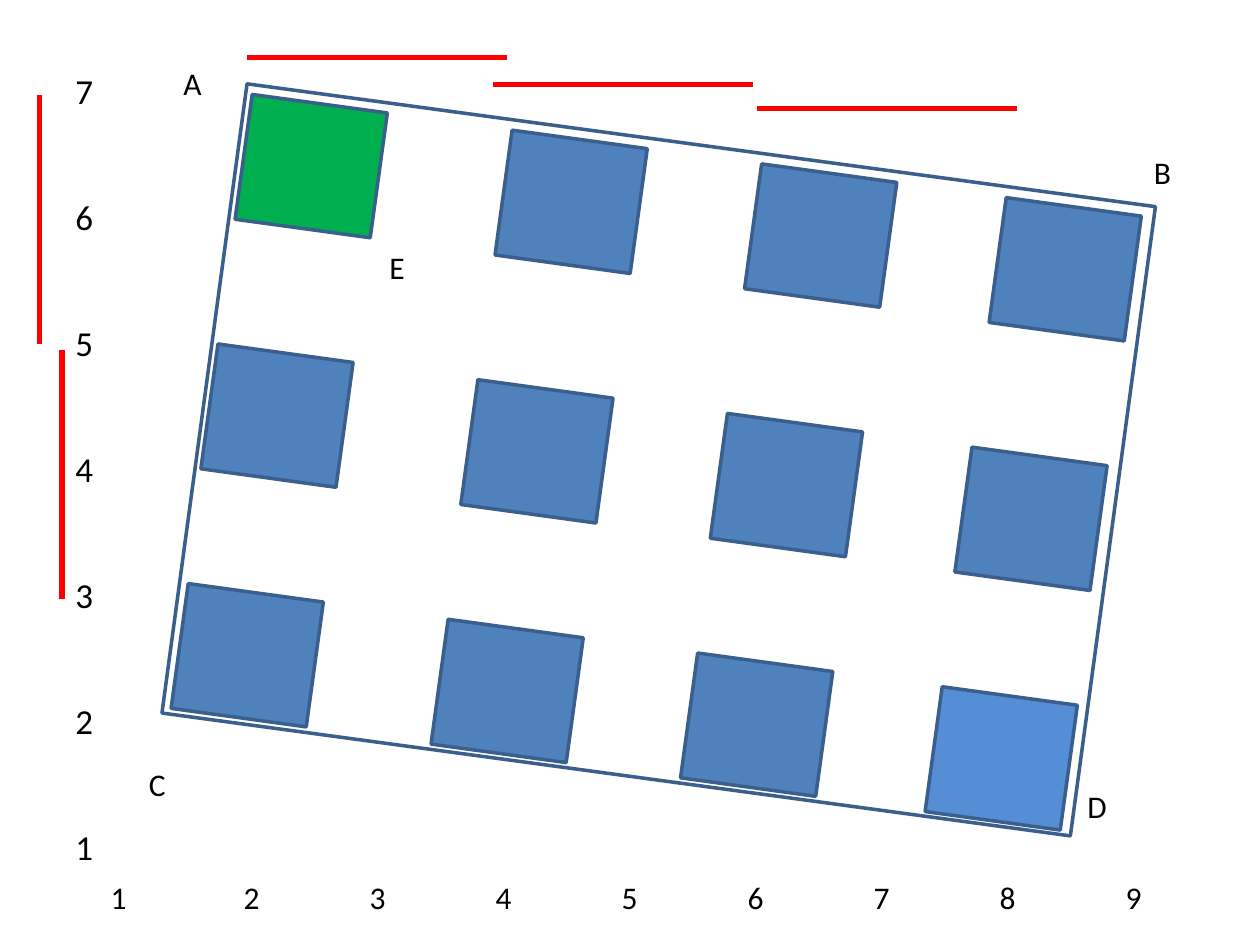
import pptx
import pptx.util
import pptx.dml.color
import pptx.enum.shapes
import pptx.enum.text
import pptx.oxml

Cm, Pt = pptx.util.Cm, pptx.util.Pt

DRAWING = 'xmlns:a="http://schemas.openxmlformats.org/drawingml/2006/main"'
COLORS = {
    "text": "000000",
    "square": "4F81BD",
    "start": "00B050",
    "end": "558ED5",
    "outline": "3A5F8C",
    "marker": "FF0000",
}


class SlideBuilder:
    font = "Calibri"

    def __init__(self, slide):
        self.slide = slide

    def color(self, name):
        return pptx.dml.color.RGBColor.from_string(COLORS[name])

    def text(self, lines, left, top, width, height, size=18, gap=0, tabs=()):
        box = self.slide.shapes.add_textbox(Cm(left), Cm(top), Cm(width), Cm(height))
        frame = box.text_frame
        frame.word_wrap = False
        frame.auto_size = pptx.enum.text.MSO_AUTO_SIZE.SHAPE_TO_FIT_TEXT
        frame.text = "\n".join(lines)
        for paragraph in frame.paragraphs:
            paragraph.space_after = Pt(gap if paragraph.text != lines[-1] else 0)
            if tabs:
                stops = "".join(f'<a:tab pos="{Cm(tab)}" algn="l"/>' for tab in tabs)
                paragraph._p.get_or_add_pPr().append(pptx.oxml.parse_xml(
                    f"<a:tabLst {DRAWING}>{stops}</a:tabLst>"))
            for run in paragraph.runs:
                run.font.name = self.font
                run.font.size = Pt(size)
                run.font.color.rgb = self.color("text")

    def rectangle(self, left, top, width, height, rotation, fill=None, group=None):
        rect = (group or self.slide).shapes.add_shape(
            pptx.enum.shapes.MSO_SHAPE.RECTANGLE,
            Cm(left), Cm(top), Cm(width), Cm(height))
        rect.rotation = rotation
        rect.shadow.inherit = False
        if fill:
            rect.fill.solid()
            rect.fill.fore_color.rgb = self.color(fill)
        else:
            rect.fill.background()
        rect.line.color.rgb = self.color("outline")
        rect.line.width = Pt(2)

    def marker(self, left, top, across=0, down=0):
        line = self.slide.shapes.add_connector(
            pptx.enum.shapes.MSO_CONNECTOR.STRAIGHT,
            Cm(left), Cm(top), Cm(left + across), Cm(top + down))
        line.line.color.rgb = self.color("marker")
        line.line.width = Pt(3)
        line._element.spPr.append(pptx.oxml.parse_xml(f"<a:effectLst {DRAWING}/>"))


def main():
    deck = pptx.Presentation()
    deck.slide_width, deck.slide_height = Cm(25.4), Cm(19.05)
    slide = deck.slides.add_slide(deck.slide_layouts[6])
    builder = SlideBuilder(slide)

    # Horizontal scale, one tab stop per inch
    builder.text(["\t ".join(str(n) for n in range(1, 10))], 1.98, 17.58, 21.51, 1.02,
                 tabs=[2.54 * n for n in range(1, 9)])

    # Tilted grid of squares: offsets of each row and column from the first square
    rows = [(0, 0), (-0.69, 5.03), (-1.29, 9.86)]
    columns = [(0, 0), (5.24, 0.72), (10.27, 1.4), (15.2, 2.08)]
    special = {(rows[0], columns[0]): "start", (rows[-1], columns[-1]): "end"}
    grid = slide.shapes.add_group_shape()
    for row in rows:
        for column in columns:
            builder.rectangle(4.9 + row[0] + column[0], 2.08 + row[1] + column[1],
                              2.75, 2.54, 7.8,
                              special.get((row, column), "square"), grid)

    # Frame around the grid
    builder.rectangle(4.04, 2.87, 18.48, 12.8, 7.7)

    # Red markers of the spacing across and down
    for left, top in [(4.98, 1.16), (9.93, 1.7), (15.27, 2.18)]:
        builder.marker(left, top, across=5.24)
    for left, top in [(0.79, 1.92), (1.25, 7.06)]:
        builder.marker(left, top, down=5.01)

    # Corner labels
    corners = {"A": (3.45, 1.17), "B": (23.01, 2.97), "C": (2.75, 15.29),
               "D": (21.67, 15.75), "E": (7.6, 4.88)}
    for letter, (left, top) in corners.items():
        builder.text([letter], left, top, 0.88, 1.02)

    # Vertical scale, one inch per step
    builder.text([str(n) for n in range(7, 0, -1)], 1.27, 1.27, 0.86, 16.51,
                 size=20, gap=48)

    deck.save("out.pptx")


if __name__ == "__main__":
    main()
